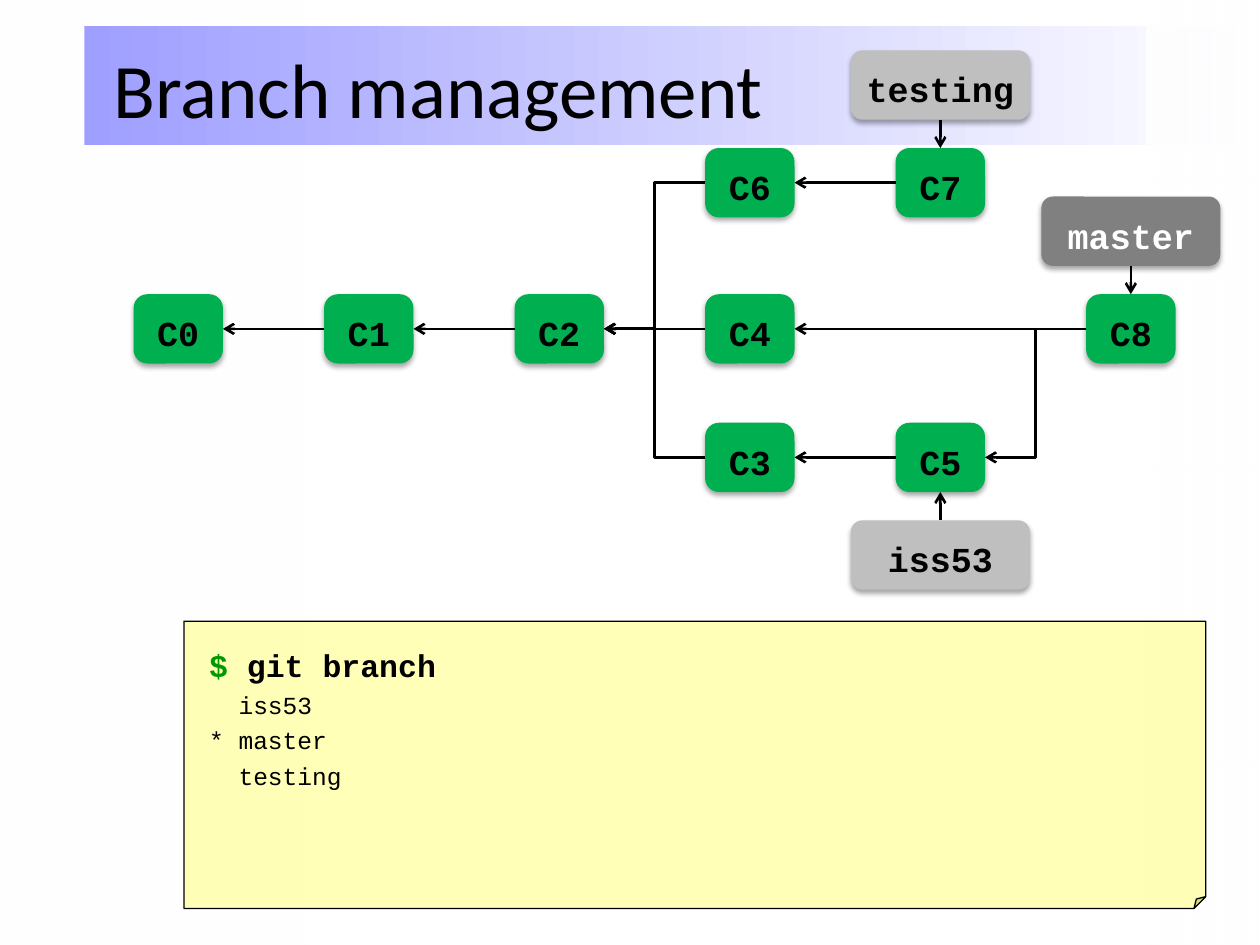
from lxml import etree
from pptx import Presentation
from pptx.dml.color import RGBColor
from pptx.enum.shapes import MSO_CONNECTOR, MSO_SHAPE
from pptx.enum.text import MSO_ANCHOR, PP_ALIGN
from pptx.oxml import parse_xml
from pptx.oxml.ns import qn
from pptx.util import Inches, Pt

RECT, ROUNDED, FOLDED = MSO_SHAPE.RECTANGLE, MSO_SHAPE.ROUNDED_RECTANGLE, MSO_SHAPE.FOLDED_CORNER
STRAIGHT, ELBOW = MSO_CONNECTOR.STRAIGHT, MSO_CONNECTOR.ELBOW
TOP, LEFT, BOTTOM, RIGHT = range(4)  # connection sites of a rounded rectangle
COLORS = {
    "white": "FFFFFF", "black": "000000", "band": "9F9FFF", "commit": "00B050",
    "branch": "BFBFBF", "current": "808080", "note": "FFFF99", "prompt": "009900",
}
MONO = "Courier New"
NAMESPACE = "http://schemas.openxmlformats.org/drawingml/2006/main"
SHADOW = (
    f'<a:outerShdw xmlns:a="{NAMESPACE}" blurRad="39370" dist="22860" dir="5400000" rotWithShape="0">'
    '<a:srgbClr val="000000"><a:alpha val="35000"/></a:srgbClr></a:outerShdw>'
)

ROWS = {"testing": 1.45, "master": 2.61, "iss53": 3.63}  # centre lines
COMMITS = {
    "C0": (0, "master"), "C1": (1, "master"), "C2": (2, "master"), "C4": (3, "master"),
    "C3": (3, "iss53"), "C5": (4, "iss53"), "C8": (5, "master"),
    "C6": (3, "testing"), "C7": (4, "testing"),
}
PARENTS = [
    ("C1", "C0"), ("C2", "C1"), ("C4", "C2"), ("C5", "C3"), ("C8", "C4"),
    ("C3", "C2"), ("C8", "C5"), ("C6", "C2"), ("C7", "C6"),
]
# name, commit, box top, fill, text colour, site on the label, site on the commit
BRANCHES = [
    ("master", "C8", 1.56, "current", "white", BOTTOM, TOP),
    ("iss53", "C5", 4.13, "branch", "black", TOP, BOTTOM),
    ("testing", "C7", 0.4, "branch", "black", BOTTOM, TOP),
]


def rgb(name):
    return RGBColor.from_string(COLORS[name])


def add_box(page, kind, box):
    """Add a preset shape without line or shadow at (left, top, width, height) in inches."""
    shape = page.shapes.add_shape(kind, *map(Inches, box))
    shape.shadow.inherit = False
    shape.line.fill.background()
    return shape


def set_alpha(color_element, percent):
    etree.SubElement(color_element, qn("a:alpha")).set("val", str(percent * 1000))


def set_font(font, size, color, name=MONO, bold=False):
    font.name, font.size, font.bold = name, Pt(size), bold
    font.color.rgb = rgb(color)


def add_gradient(page, box, start, end, alphas=(100, 100)):
    shape = add_box(page, RECT, box)
    shape.fill.gradient()
    shape.fill.gradient_angle = 0
    for stop, color in zip(shape.fill.gradient_stops, (start, end)):
        stop.color.rgb = rgb(color)
    for element, alpha in zip(shape._element.spPr.iter(qn("a:srgbClr")), alphas):
        if alpha < 100:
            set_alpha(element, alpha)


def add_background(page):
    add_gradient(page, (0, 0, 2.45, 7.5), "white", "white", (38, 100))
    add_gradient(page, (0.67, 0.21, 9.33, 0.94), "band", "white")
    add_gradient(page, (9.1, 0, 0.89, 7.5), "white", "white", (100, 38))


def add_title(page, box, text):
    frame = page.shapes.add_textbox(*map(Inches, box)).text_frame
    frame.word_wrap = True
    frame.vertical_anchor = MSO_ANCHOR.MIDDLE
    frame.text = text
    set_font(frame.paragraphs[0].font, 44, "black", "Calibri")


def add_label(page, box, text, fill, color):
    """Add a rounded, shadowed box with centred bold text."""
    shape = add_box(page, ROUNDED, box)
    shape.fill.solid()
    shape.fill.fore_color.rgb = rgb(fill)
    shape._element.spPr.find(qn("a:effectLst")).append(parse_xml(SHADOW))
    frame = shape.text_frame
    frame.word_wrap = True
    frame.vertical_anchor = MSO_ANCHOR.MIDDLE
    frame.margin_top = Inches(0.11)
    frame.text = text
    para = frame.paragraphs[0]
    para.alignment = PP_ALIGN.CENTER
    set_font(para.font, 20, color, bold=True)
    return shape


def add_arrow(page, kind, start, start_site, end, end_site):
    arrow = page.shapes.add_connector(kind, 0, 0, 0, 0)
    arrow.begin_connect(start, start_site)
    arrow.end_connect(end, end_site)
    arrow.line.color.rgb = rgb("black")
    arrow.line.width = Pt(1.5)
    etree.SubElement(arrow.line._get_or_add_ln(), qn("a:tailEnd")).set("type", "arrow")
    etree.SubElement(arrow._element.spPr, qn("a:effectLst"))


def add_commit_graph(page, left, right):
    width, height, label_width = 0.71, 0.55, 1.42
    step = (right - left - width) / max(column for column, _ in COMMITS.values())
    nodes = {}
    for name, (column, row) in COMMITS.items():
        box = (left + column * step, ROWS[row] - height / 2, width, height)
        nodes[name] = add_label(page, box, name, "commit", "black")
        nodes[name].adjustments[0] = 0.2
    for child, parent in PARENTS:
        kind = STRAIGHT if COMMITS[child][1] == COMMITS[parent][1] else ELBOW
        add_arrow(page, kind, nodes[child], LEFT, nodes[parent], RIGHT)
    for name, commit, top, fill, color, label_site, commit_site in BRANCHES:
        center = left + COMMITS[commit][0] * step + width / 2
        box = (center - label_width / 2, top, label_width, height)
        label = add_label(page, box, name, fill, color)
        add_arrow(page, STRAIGHT, label, label_site, nodes[commit], commit_site)


def add_terminal(page, box, command, output):
    note = add_box(page, FOLDED, box)
    # python-pptx lists no adjustment for the folded corner
    guide = etree.SubElement(next(note._element.spPr.iter(qn("a:avLst"))), qn("a:gd"))
    guide.set("name", "adj")
    guide.set("fmla", "val 4100")
    note.fill.solid()
    note.fill.fore_color.rgb = rgb("note")
    set_alpha(next(note._element.spPr.iter(qn("a:srgbClr"))), 70)
    note.line.color.rgb = rgb("black")
    note.line.width = Pt(0.75)
    frame = note.text_frame
    frame.word_wrap = True
    frame.vertical_anchor = MSO_ANCHOR.TOP
    frame.margin_left = frame.margin_right = frame.margin_bottom = Inches(0.2)
    frame.margin_top = Inches(0.24)
    frame.text = "\n".join(["", *output])
    for index, para in enumerate(frame.paragraphs):
        para.alignment = PP_ALIGN.LEFT
        para.line_spacing = 0.85
        para.space_after = Pt(3)
        if index:
            para.space_before = Pt(3)
            set_font(para.font, 14, "black")
    for text, color in (("$ ", "prompt"), (command, "black")):
        span = frame.paragraphs[0].add_run()
        span.text = text
        set_font(span.font, 18, color, bold=True)


def main():
    deck = Presentation()
    deck.slide_width, deck.slide_height = Inches(10), Inches(7.5)
    page = deck.slides.add_slide(deck.slide_layouts[6])
    add_background(page)
    add_title(page, (0.8, 0.07, 8.11, 1.25), "Branch management")
    add_terminal(page, (1.46, 4.93, 8.11, 2.28), "git branch",
                 ["  iss53", "* master", "  testing"])
    add_commit_graph(page, 1.06, 9.33)
    deck.save("out.pptx")


if __name__ == "__main__":
    main()
